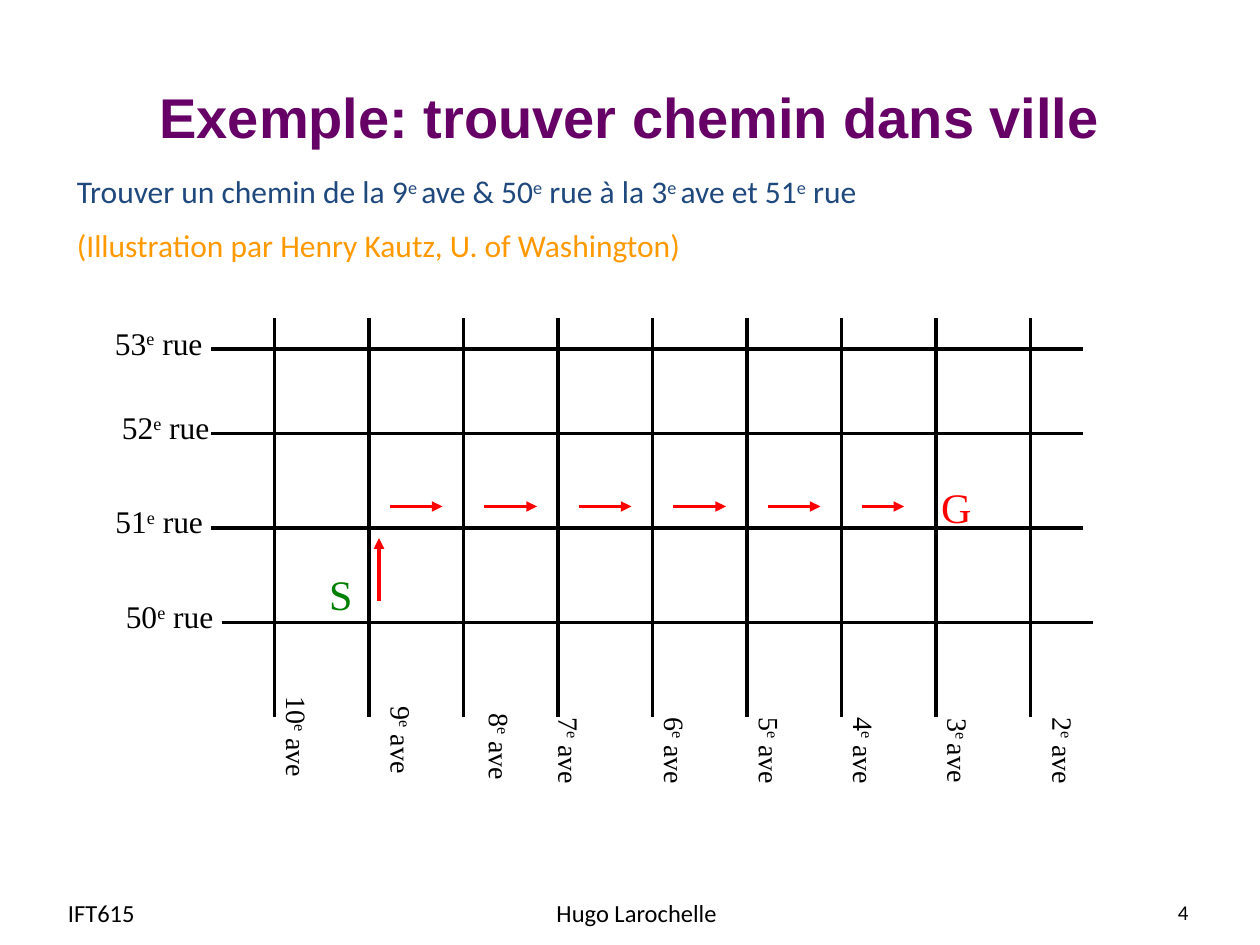
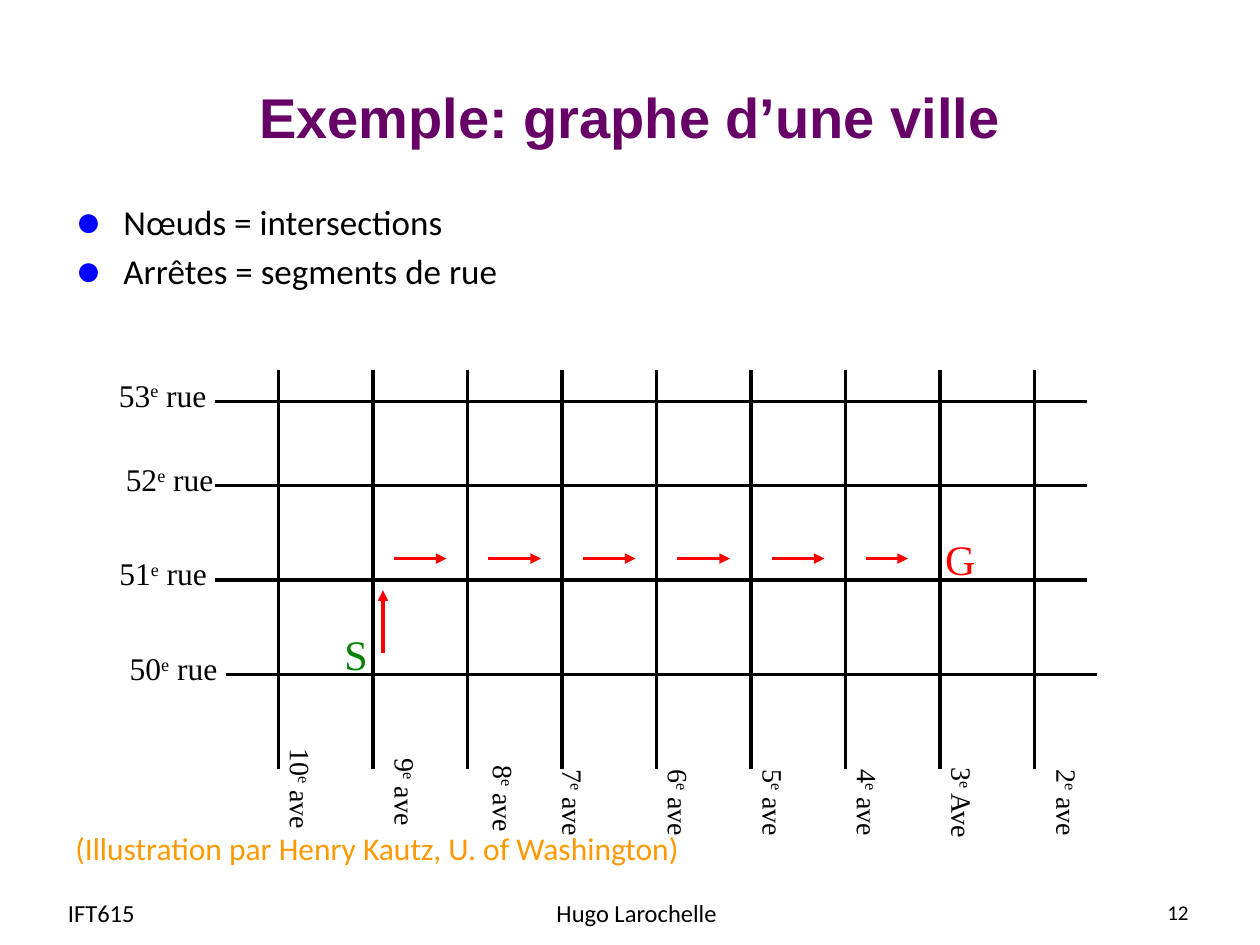
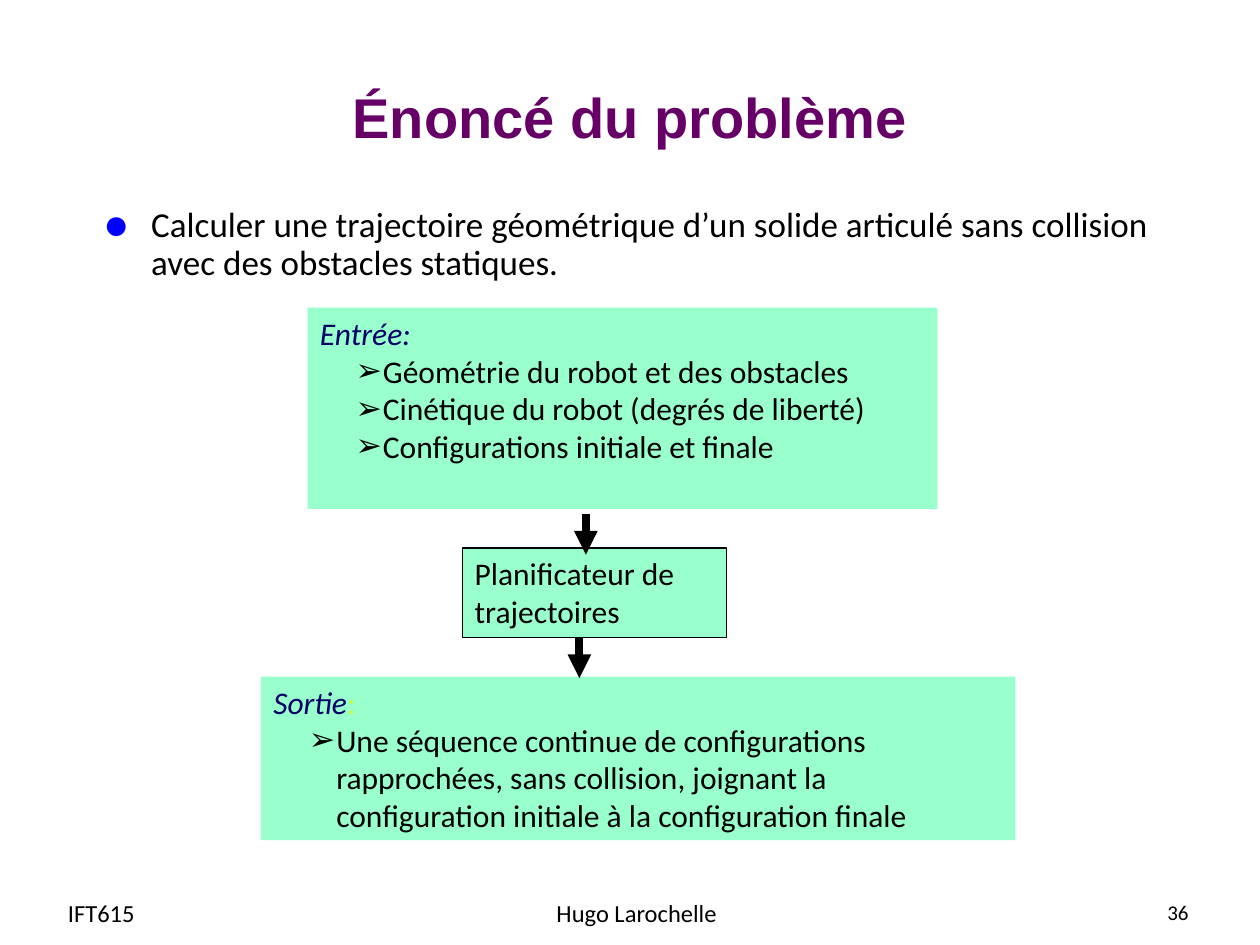
from lxml.etree import SubElement
from pptx import Presentation
from pptx.dml.color import RGBColor
from pptx.enum.shapes import MSO_CONNECTOR, MSO_SHAPE
from pptx.enum.text import MSO_ANCHOR, PP_ALIGN
from pptx.oxml.ns import qn
from pptx.util import Cm, Pt

BLACK = RGBColor(0x00, 0x00, 0x00)
PURPLE = RGBColor(0x66, 0x00, 0x66)
BLUE = RGBColor(0x00, 0x00, 0xFF)
STEEL = RGBColor(0x1F, 0x49, 0x7D)
NAVY = RGBColor(0x00, 0x00, 0x66)
ORANGE = RGBColor(0xFF, 0x99, 0x00)
GREEN = RGBColor(0x00, 0x80, 0x00)
RED = RGBColor(0xFF, 0x00, 0x00)
MINT = RGBColor(0x99, 0xFF, 0xCC)
LIME = RGBColor(0xCC, 0xFF, 0x33)

SANS, SERIF, HEAD = "Calibri", "Times New Roman", "Arial"
LEFT, MID, RIGHT = PP_ALIGN.LEFT, PP_ALIGN.CENTER, PP_ALIGN.RIGHT
CREDIT = "(Illustration par Henry Kautz, U. of Washington)"

PITCH = 7.62 / 4
ROADS = [("53", 7.04, 3.2, 0), ("52", 8.74, 3.34, 0),
         ("51", 10.64, 3.21, 0), ("50", 12.55, 3.42, 0.21)]
LANES = [("10", 5.99, 14.85), ("9", 8.1, 14.92), ("8", 10.08, 15.05),
         ("7", 11.48, 15.13), ("6", 13.61, 15.13), ("5", 15.52, 15.13),
         ("4", 17.42, 15.13), ("3", 19.32, 15.13), ("2", 21.44, 15.13)]


class Deck:
    def __init__(self):
        self.file = Presentation()
        self.file.slide_width, self.file.slide_height = Cm(25.4), Cm(19.05)
        self.slide = None

    def page(self, title, num):
        self.slide = self.file.slides.add_slide(self.file.slide_layouts[6])
        self.text(1.27, 0.76, 22.86, 3.18, [title], 32, PURPLE, HEAD, MID, True, bold=True)
        for x, wide, words, size, align in [(1.12, 4.9, "IFT615", 14, LEFT),
                                            (18.29, 5.92, num, 12, RIGHT),
                                            (8.81, 8.05, "Hugo Larochelle", 14, MID)]:
            self.text(x, 17.88, wide, 1.02, [words], size, align=align, centre=True)

    def text(self, x, y, wide, high, paras, size=18, color=BLACK, font=SANS,
             align=LEFT, centre=False, bold=False, gap=0):
        box = self.slide.shapes.add_textbox(Cm(x), Cm(y), Cm(wide), Cm(high))
        frame = box.text_frame
        frame.word_wrap = True
        frame.vertical_anchor = MSO_ANCHOR.MIDDLE if centre else MSO_ANCHOR.TOP
        for i, words in enumerate(paras):
            para = self.para(frame, i, align, gap)
            runs = [(words, color)] if isinstance(words, str) else words
            for part, tint in runs:
                self.runs(para, part, size, tint, font, bold)
        return box

    def para(self, frame, i, align=LEFT, gap=0):
        para = frame.add_paragraph() if i else frame.paragraphs[0]
        para.alignment = align
        if i and gap:
            para.space_before = Pt(gap)
        return para

    def runs(self, para, words, size, color, font=SANS, bold=False, slant=False):
        for i, part in enumerate(words.split("^")):
            if not part:
                continue
            run = para.add_run()
            run.text = part
            face = run.font
            face.name, face.size, face.bold, face.italic = font, Pt(size), bold, slant
            face.color.rgb = color
            if i % 2:
                face._element.set("baseline", "30000")

    def mark(self, para, sign, left, hang, color=BLACK, scale=100):
        props = para._p.get_or_add_pPr()
        props.set("marL", str(Cm(left)))
        props.set("indent", str(-Cm(hang)))
        tint = SubElement(props, qn("a:buClr"))
        SubElement(tint, qn("a:srgbClr"), val=str(color))
        SubElement(props, qn("a:buSzPct"), val=str(scale * 1000))
        SubElement(props, qn("a:buFont"), typeface=HEAD)
        SubElement(props, qn("a:buChar"), char=sign)

    def list(self, x, y, wide, high, items, space=None):
        frame = self.text(x, y, wide, high, items, 20, gap=4).text_frame
        for para in frame.paragraphs:
            if space:
                para.line_spacing = space
            self.mark(para, "●", 0.97, 0.97, BLUE, 125)

    def label(self, x, y, words, size, color=BLACK, turn=0):
        wide, high = 3, 1.2
        box = self.text(x - wide / 2, y - high / 2, wide, high, [words],
                        size, color, SERIF, MID, True)
        box.rotation = turn

    def line(self, x1, y1, x2, y2, color=BLACK, width=2, arrow=False):
        line = self.slide.shapes.add_connector(
            MSO_CONNECTOR.STRAIGHT, Cm(x1), Cm(y1), Cm(x2), Cm(y2))
        line.line.color.rgb = color
        line.line.width = Pt(width)
        if arrow:
            SubElement(line.line._get_or_add_ln(), qn("a:tailEnd"), type="triangle")
        SubElement(line._element.spPr, qn("a:effectLst"))

    def box(self, x, y, wide, high, head, items=(), edge=False):
        box = self.slide.shapes.add_shape(
            MSO_SHAPE.RECTANGLE, Cm(x), Cm(y), Cm(wide), Cm(high))
        box.shadow.inherit = False
        box.fill.solid()
        box.fill.fore_color.rgb = MINT
        if edge:
            box.line.color.rgb = BLACK
            box.line.width = Pt(0.75)
        else:
            box.line.fill.background()
        frame = box.text_frame
        frame.word_wrap = True
        frame.vertical_anchor = MSO_ANCHOR.TOP
        frame.margin_right = Cm(0.6)
        first = self.para(frame, 0)
        for words, color, slant in head:
            self.runs(first, words, 18, color, slant=slant)
        for i, words in enumerate(items, 1):
            para = self.para(frame, i)
            self.runs(para, words, 18, BLACK)
            self.mark(para, "➢", 1.27, 0.55)

    def city(self, dx, dy, start, third):
        for i in range(len(LANES)):
            x = 5.53 + dx + i * PITCH
            self.line(x, 6.41 + dy, x, 14.45 + dy)
        for name, y, x, shift in ROADS:
            self.line(4.26 + dx + shift, y + dy, 21.83 + dx + shift, y + dy)
            self.label(x + dx, y + dy - 0.13, name + "^e^ rue", 18)
        for name, x, y in LANES:
            tail = third if name == "3" else "^e^ ave"
            self.label(x + dx, y + dy, name + tail, 16, turn=90)
        self.label(start[0], start[1], "S", 24, GREEN)
        self.label(19.28 + dx, 10.21 + dy, "G", 24, RED)
        for i in range(6):
            x = 7.86 + dx + i * PITCH
            size = 0.84 if i == 5 else 1.06
            self.line(x, 10.21 + dy, x + size, 10.21 + dy, RED, arrow=True)
        self.line(7.64 + dx, 12.12 + dy, 7.64 + dx, 10.85 + dy, RED, arrow=True)


def main():
    deck = Deck()

    deck.page("Exemple: trouver chemin dans ville", "4")
    deck.city(0, 0, (6.87, 11.96), "^e ^ave")
    goal = "Trouver un chemin de la 9^e ^ave & 50^e^ rue à la 3^e ^ave et 51^e^ rue"
    deck.text(1.3, 3.35, 23.7, 2.16, [[(goal, STEEL)], [(CREDIT, ORANGE)]], gap=9)

    deck.page("Exemple: graphe d’une ville", "12")
    deck.list(1.27, 3.91, 22.86, 12.57,
              ["Nœuds = intersections", "Arrêtes = segments de rue"])
    deck.city(0.08, 1.05, (7.18, 13.18), "^e^ Ave")
    deck.text(1.27, 16.59, 23.7, 1.02, [CREDIT], color=ORANGE)

    deck.page("Énoncé du problème", "36")
    deck.list(1.83, 4.06, 22.83, 12.98,
              ["Calculer une trajectoire géométrique d’un solide articulé "
               "sans collision avec des obstacles statiques."], 0.9)
    deck.box(9.32, 11.05, 5.33, 1.8,
             [("Planificateur de trajectoires", BLACK, False)], edge=True)
    deck.box(6.2, 6.2, 12.7, 4.06, [("Entrée:", NAVY, True)],
             ["Géométrie du robot et des obstacles",
              "Cinétique du robot (degrés de liberté)",
              "Configurations initiale et finale"])
    deck.box(5.26, 13.64, 15.21, 3.3,
             [("Sortie", NAVY, True), (":", LIME, False)],
             ["Une séquence continue de configurations rapprochées, sans collision, "
              "joignant la configuration initiale à la configuration finale"])
    for x, y in [(11.81, 10.36), (11.68, 12.85)]:
        deck.line(x, y, x, y + 0.82, width=4.5, arrow=True)

    deck.file.save("out.pptx")


if __name__ == "__main__":
    main()
